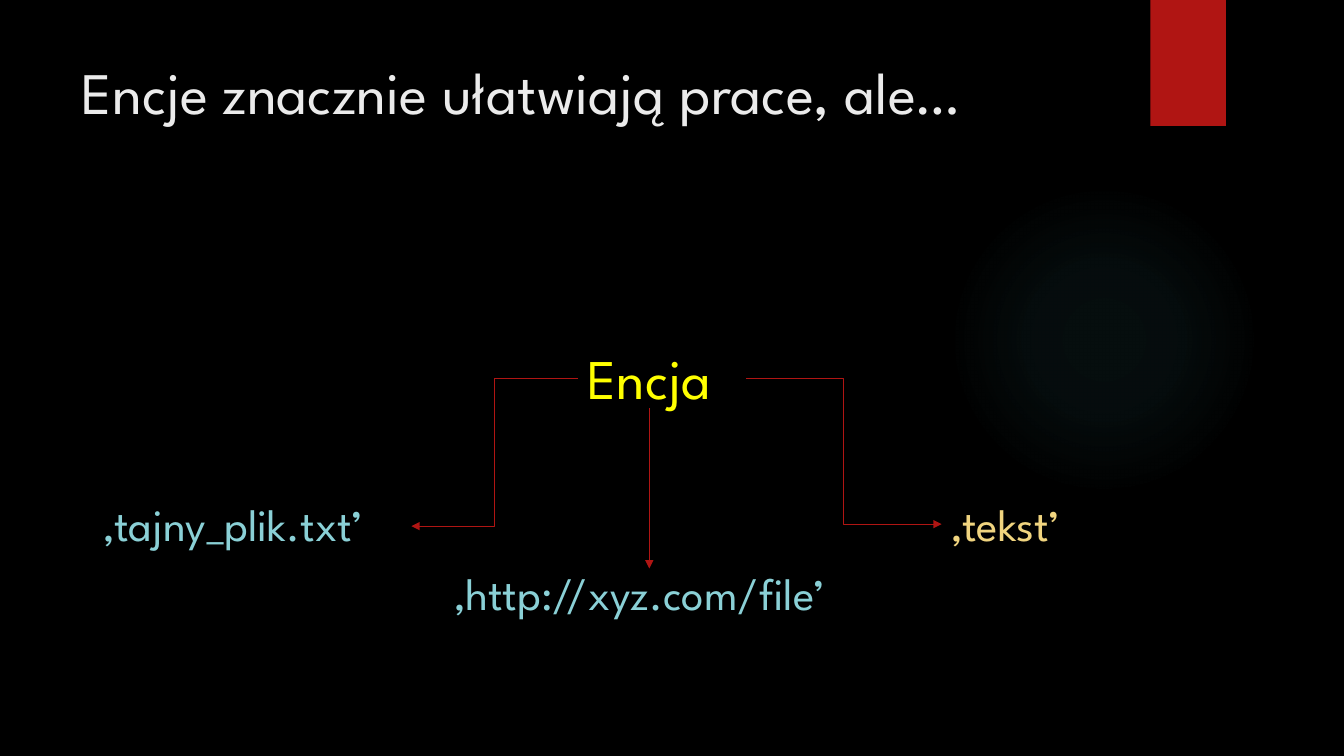
from lxml.etree import SubElement
from pptx import Presentation
from pptx.dml.color import RGBColor
from pptx.enum.shapes import MSO_CONNECTOR as Link, MSO_SHAPE as Shape
from pptx.oxml import parse_xml
from pptx.oxml.ns import nsdecls, qn
from pptx.util import Inches, Pt

BLACK = RGBColor(0x00, 0x00, 0x00)
RED = RGBColor(0xB0, 0x15, 0x13)
WHITE = RGBColor(0xEB, 0xEB, 0xEB)
YELLOW = RGBColor(0xFF, 0xFF, 0x00)
GOLD = RGBColor(0xF0, 0xD4, 0x7F)
AQUA = RGBColor(0x8A, 0xD0, 0xD6)
GLOW = RGBColor(0x50, 0xB9, 0xC1)

deck = Presentation()
deck.slide_width, deck.slide_height = Inches(13.33), Inches(7.5)
slide = deck.slides.add_slide(deck.slide_layouts[6])
slide.background.fill.solid()
slide.background.fill.fore_color.rgb = BLACK
shapes = slide.shapes

glow = shapes.add_shape(Shape.OVAL, *map(Inches, (9.41, 1.83, 3.08, 3.08)))
glow.shadow.inherit = False
glow.line.fill.background()
glow.fill.background()
stops = "".join(
    f'<a:gs pos="{pos * 1000}"><a:srgbClr val="{GLOW}">'
    f'<a:alpha val="{alpha * 1000}"/></a:srgbClr></a:gs>'
    for pos, alpha in ((0, 7), (36, 6), (69, 0))
)
shade = parse_xml(
    f'<a:gradFill {nsdecls("a")} rotWithShape="1"><a:gsLst>{stops}</a:gsLst>'
    '<a:path path="circle"><a:fillToRect l="50000" t="50000" r="50000" b="50000"/>'
    '</a:path></a:gradFill>'
)
props = glow.element.spPr
props.replace(props.find(qn("a:noFill")), shade)

flag = shapes.add_shape(Shape.RECTANGLE, *map(Inches, (11.41, 0, 0.75, 1.25)))
flag.shadow.inherit = False
flag.fill.solid()
flag.fill.fore_color.rgb = RED
flag.line.fill.background()

labels = [
    ("Encje znacznie ułatwiają prace, ale…", 0.71, 0.5, 10.29, 1.53, 42, WHITE),
    ("Encja", 5.73, 3.36, 2.64, 0.77, 40, YELLOW),
    ("‚tekst’", 9.34, 4.88, 1.93, 0.64, 32, GOLD),
    ("‚tajny_plik.txt’", 0.93, 4.88, 3.42, 0.64, 32, AQUA),
    ("‚http://xyz.com/file’", 4.41, 5.56, 4.92, 0.64, 32, AQUA),
]
for text, left, top, width, height, size, color in labels:
    box = shapes.add_textbox(*map(Inches, (left, top, width, height)))
    frame = box.text_frame
    frame.word_wrap = True
    frame.text = text
    font = frame.paragraphs[0].font
    font.name = "League Spartan"
    font.size = Pt(size)
    font.color.rgb = color

arrows = [
    (Link.ELBOW, 7.4, 3.76, 9.34, 5.2),
    (Link.ELBOW, 5.73, 3.76, 4.08, 5.22),
    (Link.STRAIGHT, 6.44, 4.05, 6.44, 5.64),
]
for kind, *ends in arrows:
    arrow = shapes.add_connector(kind, *map(Inches, ends))
    arrow.line.color.rgb = RED
    arrow.line.width = Pt(0.75)
    props = arrow.element.spPr
    SubElement(props.find(qn("a:ln")), qn("a:tailEnd"), type="triangle")
    SubElement(props, qn("a:effectLst"))

deck.save("out.pptx")
